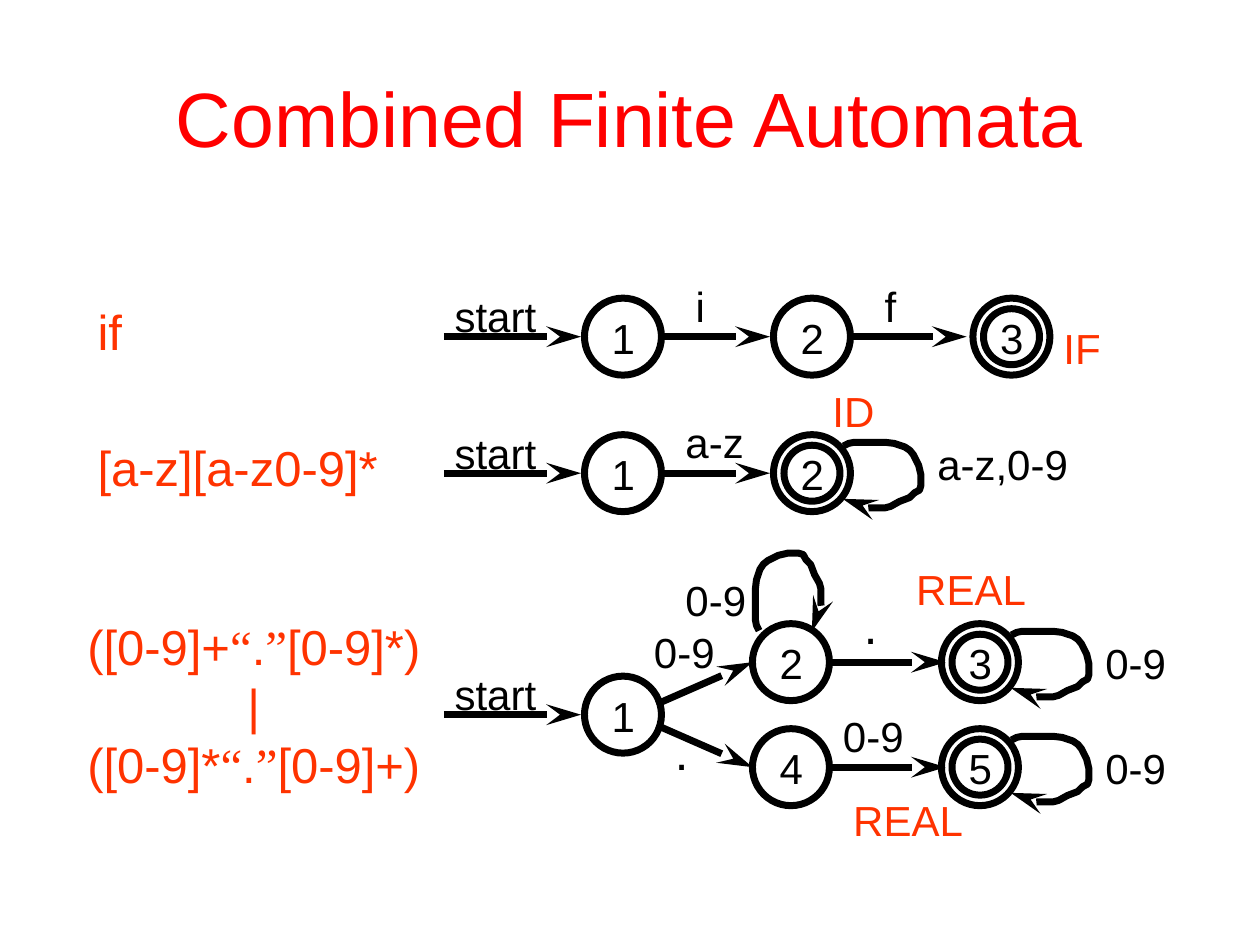
from dataclasses import dataclass

import pptx
import pptx.dml.color
import pptx.enum.shapes
import pptx.enum.text
import pptx.oxml.ns
import pptx.util

Pt = pptx.util.Pt
COLORS = {"ink": "000000", "title": "FF0000", "accent": "FF3300"}
LINE_WIDTH = 4
OUTER_DIAMETER, INNER_DIAMETER = 44, 32
START_LEFT, START_RIGHT = 253.6, 332

# Self-loop on the right of a state, relative to the state's centre.
LOOP = [
    (18, -15.5), (21, -17), (24, -17.6), (42, -17.6), (47, -17), (53, -15),
    (56, -13), (58, -10.5), (61, -4.5), (62.3, 1), (62.3, 7), (61.5, 9.7),
    (58.7, 11.2), (55.8, 14), (50, 16.2), (45, 19), (42, 19.8), (33.5, 19.8),
    (27.7, 20.5), (24.8, 19.8), (22, 19), (19, 17.7), (16.2, 14.8), (17.6, 14.7),
]
LOOP_ABOVE = [(y - 2.7, -x) for x, y in LOOP]


@dataclass
class State:
    name: str
    x: float
    y: float
    accepting: bool = False
    loop: list | None = None


@dataclass
class Label:
    text: str
    left: float
    top: float
    width: float
    color: str = "ink"
    size: int = 24


ROWS = [192.4, 270.4, 408.4]
UPPER, LOWER = 378.4, 438.4
STATES = [
    State("1", 356, ROWS[0]),
    State("2", 464, ROWS[0]),
    State("3", 578, ROWS[0], accepting=True),
    State("1", 356, ROWS[1]),
    State("2", 464, ROWS[1], accepting=True, loop=LOOP),
    State("1", 356, ROWS[2]),
    State("2", 452, UPPER, loop=LOOP_ABOVE),
    State("3", 560, UPPER, accepting=True, loop=LOOP),
    State("4", 452, LOWER),
    State("5", 560, LOWER, accepting=True, loop=LOOP),
]
TRANSITIONS = [
    (379.4, ROWS[0], 440, ROWS[0]),
    (486.5, ROWS[0], 552.4, ROWS[0]),
    (379.4, ROWS[1], 440, ROWS[1]),
    (375.2, 402.4, 430, UPPER),
    (375.2, 414.4, 430, LOWER),
    (474.4, UPPER, 540.5, UPPER),
    (474.4, LOWER, 540.5, LOWER),
]
LABELS = [
    Label("i", 390.4, 157, 20),
    Label("f", 498.4, 157, 21),
    Label("a-z", 384.6, 234.7, 48.4),
    Label("a-z,0-9", 528.5, 246.8, 89.2),
    Label("0-9", 384.6, 324.7, 49),
    Label("0-9", 366.6, 354.7, 49),
    Label(".", 378.6, 409, 22.2, size=28),
    Label(".", 486.6, 337, 22.2, size=28),
    Label("0-9", 474.6, 402.5, 49),
    Label("0-9", 624.5, 360.7, 49),
    Label("0-9", 624.5, 420.7, 49),
    Label("IF", 600.6, 180.7, 36, "accent"),
    Label("ID", 468.6, 216.7, 39, "accent"),
    Label("REAL", 516.5, 318.7, 77, "accent"),
    Label("REAL", 480.5, 450.7, 77, "accent"),
    Label("if", 48.7, 168.5, 28.4, "accent", 28),
    Label("[a-z][a-z0-9]*", 48.7, 246.7, 174.6, "accent", 28),
]
REAL_PATTERN = "([0-9]+“.”[0-9]*)\n|\n([0-9]*“.”[0-9]+)"


def rgb(name: str) -> pptx.dml.color.RGBColor:
    return pptx.dml.color.RGBColor.from_string(COLORS[name])


def add_text(slide, text: str, left: float, top: float, width: float, height: float, *,
             size: int = 24, color: str = "ink", centred: bool = False,
             middle: bool = False, wrap: bool = False) -> None:
    """Add a text box, one paragraph a line; curly quotes are set in Times New Roman."""
    frame = slide.shapes.add_textbox(Pt(left), Pt(top), Pt(width), Pt(height)).text_frame
    frame.word_wrap = wrap
    if not wrap:
        frame.auto_size = pptx.enum.text.MSO_AUTO_SIZE.SHAPE_TO_FIT_TEXT
    if middle:
        frame.vertical_anchor = pptx.enum.text.MSO_ANCHOR.MIDDLE
    for index, line in enumerate(text.split("\n")):
        paragraph = frame.paragraphs[0] if index == 0 else frame.add_paragraph()
        if centred:
            paragraph.alignment = pptx.enum.text.PP_ALIGN.CENTER
        for part in line.replace("“", "\t“\t").replace("”", "\t”\t").split("\t"):
            run = paragraph.add_run()
            run.text = part
            run.font.name = "Times New Roman" if part in ("“", "”") else "Arial"
            run.font.size = Pt(size)
            run.font.color.rgb = rgb(color)


def style_line(shape, arrow: bool = False) -> None:
    shape.line.width = Pt(LINE_WIDTH)
    shape.line.color.rgb = rgb("ink")
    if arrow:
        line = shape.line._get_or_add_ln()
        for tag, attributes in (("a:round", {}),
                                ("a:tailEnd", {"type": "stealth", "w": "med", "len": "lg"})):
            line.append(line.makeelement(pptx.oxml.ns.qn(tag), attributes))


def add_arrow(slide, x1: float, y1: float, x2: float, y2: float) -> None:
    arrow = slide.shapes.add_connector(
        pptx.enum.shapes.MSO_CONNECTOR.STRAIGHT, Pt(x1), Pt(y1), Pt(x2), Pt(y2))
    style_line(arrow, arrow=True)
    properties = arrow._element.spPr
    properties.append(properties.makeelement(pptx.oxml.ns.qn("a:effectLst"), {}))


def add_ring(slide, x: float, y: float, diameter: float) -> None:
    ring = slide.shapes.add_shape(
        pptx.enum.shapes.MSO_SHAPE.OVAL, Pt(x - diameter / 2), Pt(y - diameter / 2),
        Pt(diameter), Pt(diameter))
    ring.shadow.inherit = False
    ring.fill.background()
    style_line(ring)


def add_loop(slide, state: State) -> None:
    points = [(Pt(state.x + x), Pt(state.y + y)) for x, y in state.loop]
    builder = slide.shapes.build_freeform(*points[0])
    builder.add_line_segments(points[1:], close=False)
    loop = builder.convert_to_shape()
    loop.shadow.inherit = False
    loop.fill.background()
    style_line(loop, arrow=True)


def add_state(slide, state: State) -> None:
    add_ring(slide, state.x, state.y, OUTER_DIAMETER)
    if state.accepting:
        add_ring(slide, state.x, state.y, INNER_DIAMETER)
    add_text(slide, state.name, state.x - 13.5, state.y - 17.6, 28, 36)
    if state.loop:
        add_loop(slide, state)


def main() -> None:
    presentation = pptx.Presentation()
    presentation.slide_width, presentation.slide_height = Pt(720), Pt(540)
    slide = presentation.slides.add_slide(presentation.slide_layouts[6])
    add_text(slide, "Combined Finite Automata", 36, 21.6, 648, 90, size=44,
             color="title", centred=True, middle=True, wrap=True)
    for state in STATES:
        add_state(slide, state)
    for y in ROWS:
        add_arrow(slide, START_LEFT, y, START_RIGHT, y)
        add_text(slide, "start", 252.7, y - 29.8, 61, 36)
    for transition in TRANSITIONS:
        add_arrow(slide, *transition)
    for label in LABELS:
        add_text(slide, label.text, label.left, label.top, label.width,
                 label.size * 1.2 + 7.2, size=label.size, color=label.color)
    add_text(slide, REAL_PATTERN, 42.8, 348.7, 204.5, 108, size=28,
             color="accent", centred=True)
    presentation.save("out.pptx")


if __name__ == "__main__":
    main()
